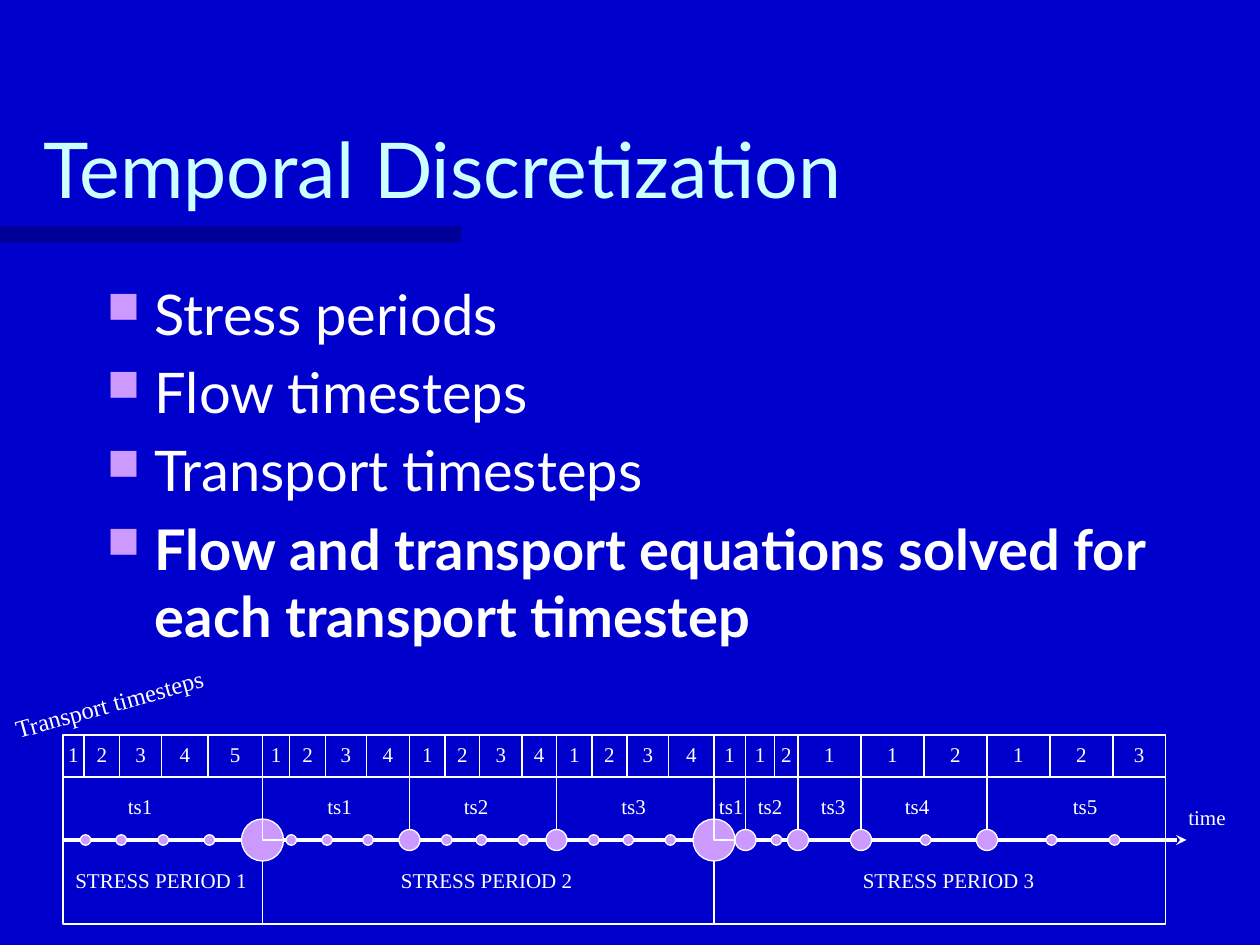
import dataclasses
import itertools

import pptx
import pptx.dml.color
import pptx.enum.dml
import pptx.enum.shapes
import pptx.enum.text
import pptx.oxml
import pptx.oxml.ns
import pptx.util

COLUMNS, ROWS = 120, 90  # a square grid, twelve cells to the inch
CELL = pptx.util.Inches(10) / COLUMNS
SHAPE = pptx.enum.shapes.MSO_SHAPE
ALIGN = pptx.enum.text.PP_ALIGN
ANCHOR = pptx.enum.text.MSO_ANCHOR


@dataclasses.dataclass(frozen=True)
class Theme:
    background: str = "0000CC"
    bar: str = "000066"
    title: str = "CCFFFF"
    text: str = "FFFFFF"
    accent: str = "CC99FF"
    heading_font: str = "Lato"
    label_font: str = "Times New Roman"
    title_size: float = 44
    body_size: float = 32
    note_size: float = 14
    label_size: float = 12
    outline: float = 0.75
    axis: float = 2


THEME = Theme()

BULLETS = [
    ("Stress periods", False),
    ("Flow timesteps", False),
    ("Transport timesteps", False),
    ("Flow and transport equations solved for each transport timestep", True),
]

# Each period: label column, then its flow timesteps as
# (label column, edges of the transport timesteps).
PERIODS = [
    (6, [(11, [6, 8, 11.4, 15.4, 19.8, 25])]),
    (37, [(30, [25, 27.6, 31, 34.9, 39]),
          (43, [39, 42.4, 45.7, 49.7, 53]),
          (58, [53, 56.4, 59.7, 63.7, 68])]),
    (81, [(67.3, [68, 71]),
          (71, [71, 73.8, 76]),
          (77, [76, 82]),
          (85, [82, 88, 94]),
          (101, [94, 100, 106, 111])]),
]
TRANSPORT_ROW, FLOW_ROW, AXIS_ROW, BOTTOM_ROW = 70, 74, 80, 88
SMALL_DOT, MEDIUM_DOT, LARGE_DOT = 1, 2, 4
LABEL_HEIGHT = 3.6


def color(name):
    return pptx.dml.color.RGBColor.from_string(name)


def place(box):
    """Turn a (column, row, columns, rows) box into slide units."""
    return [round(length * CELL) for length in box]


def add_child(parent, tag, **attributes):
    child = pptx.oxml.parse_xml(f"<{tag} {pptx.oxml.ns.nsdecls('a')}/>")
    for name, value in attributes.items():
        child.set(name, value)
    parent.append(child)
    return child


def add_figure(shapes, kind, box, fill=None, line=THEME.text):
    figure = shapes.add_shape(kind, *place(box))
    figure.shadow.inherit = False
    if fill:
        figure.fill.solid()
        figure.fill.fore_color.rgb = color(fill)
    else:
        figure.fill.background()
    if line:
        figure.line.color.rgb = color(line)
        figure.line.width = pptx.util.Pt(THEME.outline)
    else:
        figure.line.fill.background()
    return figure


def add_dot(shapes, column, size):
    box = (column - size / 2, AXIS_ROW - size / 2, size, size)
    add_figure(shapes, SHAPE.OVAL, box, THEME.accent)


def add_span(para, text, font, size, ink, bold=False):
    span = para.add_run()
    span.text = text
    span.font.name = font
    span.font.size = pptx.util.Pt(size)
    span.font.color.rgb = color(ink)
    span.font.bold = bold


def add_label(shapes, text, box, align=ALIGN.LEFT, size=THEME.label_size):
    label = shapes.add_textbox(*place(box))
    label.text_frame.word_wrap = False
    label.text_frame.auto_size = pptx.enum.text.MSO_AUTO_SIZE.SHAPE_TO_FIT_TEXT
    para = label.text_frame.paragraphs[0]
    para.alignment = align
    add_span(para, text, THEME.label_font, size, THEME.text)
    return label


def draw_title(page, box):
    title = page.shapes.add_textbox(*place(box))
    title.text_frame.word_wrap = True
    title.text_frame.vertical_anchor = ANCHOR.BOTTOM
    add_span(title.text_frame.paragraphs[0], "Temporal Discretization",
             THEME.heading_font, THEME.title_size, THEME.title)


def draw_bar(page, box):
    bar = add_figure(page.shapes, SHAPE.RECTANGLE, box, THEME.bar, line=None)
    ink = bar.fill._xPr.find(".//" + pptx.oxml.ns.qn("a:srgbClr"))
    add_child(ink, "a:alpha", val="50000")


def draw_bullets(page, box):
    frame = page.shapes.add_textbox(*place(box)).text_frame
    frame.word_wrap = True
    indent = pptx.util.Inches(0.38)
    for index, (text, bold) in enumerate(BULLETS):
        para = frame.add_paragraph() if index else frame.paragraphs[0]
        para.space_before = pptx.util.Pt(THEME.body_size * 0.2)
        settings = para._p.get_or_add_pPr()
        settings.set("marL", str(indent))
        settings.set("indent", str(-indent))
        add_child(add_child(settings, "a:buClr"), "a:srgbClr", val=THEME.accent)
        add_child(settings, "a:buSzPct", val="80000")
        add_child(settings, "a:buChar", char="■")
        add_span(para, text, THEME.heading_font, THEME.body_size, THEME.text, bold)


def draw_axis(shapes, start, end):
    ends = place((start, AXIS_ROW, end, AXIS_ROW))
    axis = shapes.add_connector(pptx.enum.shapes.MSO_CONNECTOR.STRAIGHT, *ends)
    axis.line.color.rgb = color(THEME.text)
    axis.line.width = pptx.util.Pt(THEME.axis)
    add_child(axis.line._get_or_add_ln(), "a:tailEnd", type="stealth")
    add_child(axis._element.spPr, "a:effectLst")
    add_label(shapes, "time", (end - 1, 76, 6, LABEL_HEIGHT))


def draw_cell(shapes, left, right, top, bottom):
    add_figure(shapes, SHAPE.RECTANGLE, (left, top, right - left, bottom - top))


def draw_flow_step(shapes, number, label_column, edges):
    """Draw a flow timestep with its transport timesteps above it."""
    draw_cell(shapes, edges[0], edges[-1], FLOW_ROW, AXIS_ROW)
    add_label(shapes, f"ts{number}", (label_column, 75, 4.8, LABEL_HEIGHT))
    for count, (left, right) in enumerate(itertools.pairwise(edges), 1):
        draw_cell(shapes, left, right, TRANSPORT_ROW, FLOW_ROW)
        box = ((left + right) / 2 - 1.7, TRANSPORT_ROW, 3.4, LABEL_HEIGHT)
        add_label(shapes, str(count), box, ALIGN.CENTER)
    for edge in edges[1:-1]:
        add_dot(shapes, edge + 0.15, SMALL_DOT)


def draw_timeline(page):
    shapes = page.shapes.add_group_shape().shapes
    draw_axis(shapes, 6, 113)
    for number, (label_column, steps) in enumerate(PERIODS, 1):
        start, end = steps[0][1][0], steps[-1][1][-1]
        draw_cell(shapes, start, end, AXIS_ROW, BOTTOM_ROW)
        add_label(shapes, f"STRESS PERIOD {number}",
                  (label_column, 82, 18.7, LABEL_HEIGHT), ALIGN.CENTER)
        if number > 1:
            add_dot(shapes, start, LARGE_DOT)
        for count, (step_column, edges) in enumerate(steps, 1):
            draw_flow_step(shapes, count, step_column, edges)
            if count > 1:
                add_dot(shapes, edges[0], MEDIUM_DOT)
    note = add_label(shapes, "Transport timesteps", (0, 65, 20.9, 4),
                     size=THEME.note_size)
    note.rotation = 344.5


def main():
    deck = pptx.Presentation()
    deck.slide_width, deck.slide_height = place((COLUMNS, ROWS))
    page = deck.slides.add_slide(deck.slide_layouts[6])
    page.background.fill.solid()
    page.background.fill.fore_color.rgb = color(THEME.background)
    draw_bar(page, (0, 21.5, 43.9, 1.6))
    draw_title(page, (3, 6, 102, 15))
    draw_bullets(page, (9, 26, 102, 54))
    draw_timeline(page)
    deck.save("out.pptx")


if __name__ == "__main__":
    main()
